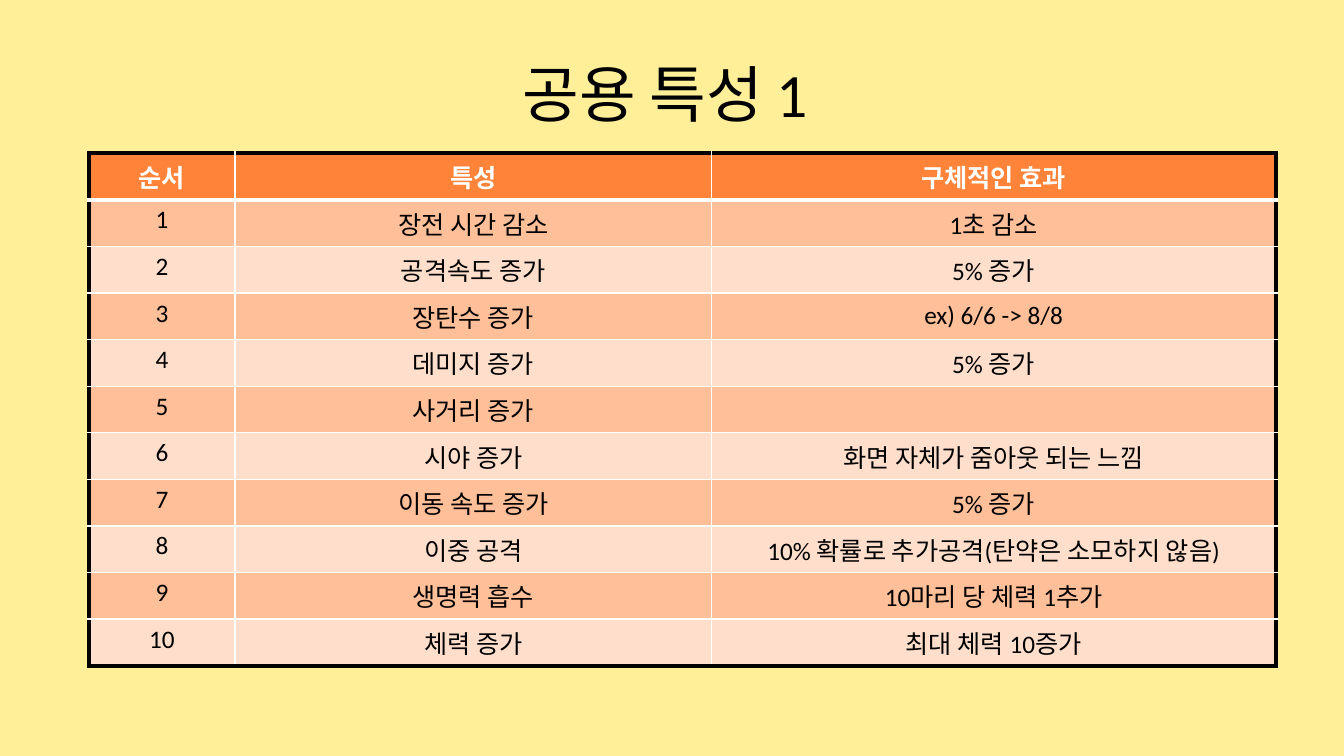
import dataclasses

import pptx
import pptx.dml.color
import pptx.enum.text
import pptx.oxml.ns
import pptx.table
import pptx.text.text
import pptx.util
from lxml import etree

Cm = pptx.util.Cm
FONT = "Calibri"
COLORS = {
    "background": "FFEF99",
    "header": "FF843A",
    "odd": "FFBF99",
    "even": "FFDFCC",
    "black": "000000",
    "white": "FFFFFF",
}
COLUMN_WIDTHS = (3.68, 12.01, 14.22)
HEADER_HEIGHT, ROW_HEIGHT = 0.99, 0.94


@dataclasses.dataclass(frozen=True)
class Trait:
    name: str
    effect: str


@dataclasses.dataclass(frozen=True)
class Border:
    color: str
    points: float


OUTER = Border("black", 3)
INNER = Border("white", 1)
HEADER_RULE = Border("white", 3)

HEADINGS = ("순서", "특성", "구체적인 효과")
TRAITS = (
    Trait("장전 시간 감소", "1초 감소"),
    Trait("공격속도 증가", "5% 증가"),
    Trait("장탄수 증가", "ex) 6/6 -> 8/8"),
    Trait("데미지 증가", "5% 증가"),
    Trait("사거리 증가", ""),
    Trait("시야 증가", "화면 자체가 줌아웃 되는 느낌"),
    Trait("이동 속도 증가", "5% 증가"),
    Trait("이중 공격", "10% 확률로 추가공격(탄약은 소모하지 않음)"),
    Trait("생명력 흡수", "10마리 당 체력 1추가"),
    Trait("체력 증가", "최대 체력 10증가"),
)


def rgb(color: str) -> pptx.dml.color.RGBColor:
    return pptx.dml.color.RGBColor.from_string(COLORS[color])


def write_centered(frame: pptx.text.text.TextFrame, text: str, size: float,
                   color: str, bold: bool = False) -> None:
    frame.text = text
    paragraph = frame.paragraphs[0]
    paragraph.alignment = pptx.enum.text.PP_ALIGN.CENTER
    for run in paragraph.runs:
        run.font.name = FONT
        run.font.size = pptx.util.Pt(size)
        run.font.bold = bold
        run.font.color.rgb = rgb(color)


def set_borders(cell: pptx.table._Cell, left: Border, right: Border,
                top: Border, bottom: Border) -> None:
    """Put the four edge lines ahead of the fill, as the schema requires."""
    qn = pptx.oxml.ns.qn
    properties = cell._tc.get_or_add_tcPr()
    edges = {"a:lnL": left, "a:lnR": right, "a:lnT": top, "a:lnB": bottom}
    for position, (tag, border) in enumerate(edges.items()):
        line = etree.Element(qn(tag), w=str(pptx.util.Pt(border.points)))
        fill = etree.SubElement(line, qn("a:solidFill"))
        etree.SubElement(fill, qn("a:srgbClr"), val=COLORS[border.color])
        properties.insert(position, line)


def fill_traits(traits: pptx.table.Table) -> None:
    rows = [HEADINGS] + [(str(order), trait.name, trait.effect)
                         for order, trait in enumerate(TRAITS, 1)]
    last_row, last_column = len(rows) - 1, len(HEADINGS) - 1
    for r, texts in enumerate(rows):
        is_header = r == 0
        traits.rows[r].height = Cm(HEADER_HEIGHT if is_header else ROW_HEIGHT)
        band = "header" if is_header else ("even", "odd")[r % 2]
        top = OUTER if is_header else HEADER_RULE if r == 1 else INNER
        bottom = HEADER_RULE if is_header else OUTER if r == last_row else INNER
        for c, text in enumerate(texts):
            cell = traits.cell(r, c)
            cell.fill.solid()
            cell.fill.fore_color.rgb = rgb(band)
            if not is_header and c > 0:
                cell.vertical_anchor = pptx.enum.text.MSO_ANCHOR.MIDDLE
            write_centered(cell.text_frame, text, 18,
                           "white" if is_header else "black", is_header)
            set_borders(cell, OUTER if c == 0 else INNER,
                        OUTER if c == last_column else INNER, top, bottom)


def main() -> None:
    presentation = pptx.Presentation()
    presentation.slide_width, presentation.slide_height = Cm(33.87), Cm(19.05)
    slide = presentation.slides.add_slide(presentation.slide_layouts[5])
    slide.background.fill.solid()
    slide.background.fill.fore_color.rgb = rgb("background")

    title = slide.shapes.title
    title.left, title.top = Cm(1.7), Cm(0.76)
    title.width, title.height = Cm(30.48), Cm(3.18)
    title.text_frame.vertical_anchor = pptx.enum.text.MSO_ANCHOR.MIDDLE
    write_centered(title.text_frame, "공용 특성 1 ", 44, "black")

    traits = slide.shapes.add_table(
        len(TRAITS) + 1, len(HEADINGS), Cm(2.24), Cm(3.86),
        Cm(sum(COLUMN_WIDTHS)), Cm(HEADER_HEIGHT + len(TRAITS) * ROW_HEIGHT),
    ).table
    for column, width in zip(traits.columns, COLUMN_WIDTHS):
        column.width = Cm(width)
    fill_traits(traits)

    presentation.save("out.pptx")


if __name__ == "__main__":
    main()
